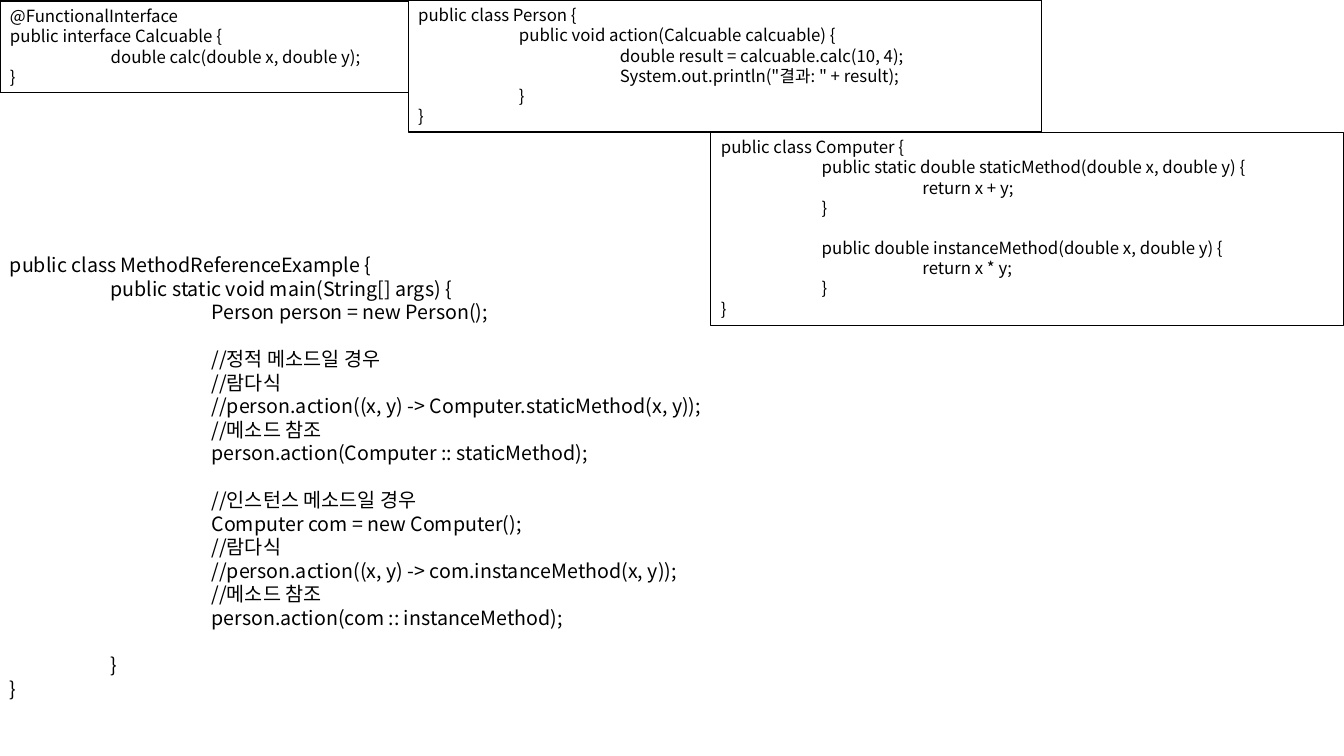
import dataclasses

import pptx
import pptx.dml.color
import pptx.enum.shapes
import pptx.enum.text
import pptx.oxml
import pptx.oxml.ns
import pptx.util

Pt = pptx.util.Pt

SLIDE_WIDTH, SLIDE_HEIGHT = 960, 540
CODE_FONT = "Noto Sans CJK KR"
INK = "000000"
INDENT = 72
LINE_PITCH = 1.2
CLASS_WIDTH = 452.16
PERSON_LEFT, PERSON_HEIGHT = 291.6, 94.32


@dataclasses.dataclass
class Listing:
    left: float
    top: float
    width: float
    height: float
    size: float
    framed: bool
    code: str


# Code: four spaces are one indent level, an empty line is a gap
CALCUABLE = """\
@FunctionalInterface
public interface Calcuable {
    double calc(double x, double y);
}"""

PERSON = """\
public class Person {
    public void action(Calcuable calcuable) {
        double result = calcuable.calc(10, 4);
        System.out.println("결과: " + result);
    }
}"""

COMPUTER = """\
public class Computer {
    public static double staticMethod(double x, double y) {
        return x + y;
    }

    public double instanceMethod(double x, double y) {
        return x * y;
    }
}"""

EXAMPLE = """\
public class MethodReferenceExample {
    public static void main(String[] args) {
        Person person = new Person();

        //정적 메소드일 경우
        //람다식
        //person.action((x, y) -> Computer.staticMethod(x, y));
        //메소드 참조
        person.action(Computer :: staticMethod);

        //인스턴스 메소드일 경우
        Computer com = new Computer();
        //람다식
        //person.action((x, y) -> com.instanceMethod(x, y));
        //메소드 참조
        person.action(com :: instanceMethod);

    }
}"""

LISTINGS = [
    Listing(0, 0.72, PERSON_LEFT, 65.52, 12, True, CALCUABLE),
    Listing(PERSON_LEFT, 0, CLASS_WIDTH, PERSON_HEIGHT, 12, True, PERSON),
    Listing(SLIDE_WIDTH - CLASS_WIDTH, PERSON_HEIGHT, CLASS_WIDTH, 138.24, 12, True, COMPUTER),
    Listing(0, 177.12, 552.96, 363.6, 14, False, EXAMPLE),
]


def color(hex_value: str) -> pptx.dml.color.RGBColor:
    return pptx.dml.color.RGBColor.from_string(hex_value)


def set_attributes(target: object, values: dict) -> None:
    for name, value in values.items():
        setattr(target, name, value)


def write_code(frame: pptx.text.text.TextFrame, code: str, size: float) -> None:
    pitch = size * LINE_PITCH
    line = frame.paragraphs[0]
    gap = 0
    for number, source in enumerate(code.split("\n")):
        if not source:
            gap += pitch
            continue
        if number:
            line = frame.add_paragraph()
        set_attributes(line, {
            "alignment": pptx.enum.text.PP_ALIGN.LEFT,
            "line_spacing": Pt(pitch),
            "space_before": Pt(gap),
        })
        gap = 0
        statement = source.lstrip()
        level = (len(source) - len(statement)) // 4
        line._p.get_or_add_pPr().set("marL", str(Pt(INDENT * level)))

        run = line.add_run()
        run.text = statement
        set_attributes(run.font, {"name": CODE_FONT, "size": Pt(size)})
        run.font.color.rgb = color(INK)
        # Korean text takes the East Asian typeface
        east_asian = pptx.oxml.parse_xml(
            f'<a:ea {pptx.oxml.ns.nsdecls("a")} typeface="{CODE_FONT}"/>')
        run.font._element.append(east_asian)


def draw_listing(slide: pptx.slide.Slide, listing: Listing) -> None:
    bounds = [Pt(length) for length in
              (listing.left, listing.top, listing.width, listing.height)]
    if listing.framed:
        panel = slide.shapes.add_shape(
            pptx.enum.shapes.MSO_SHAPE.RECTANGLE, *bounds)
        panel.shadow.inherit = False
        panel.fill.background()
        panel.line.color.rgb = color(INK)
        panel.line.width = Pt(0.75)
    else:
        panel = slide.shapes.add_textbox(*bounds)
    set_attributes(panel.text_frame, {
        "word_wrap": True,
        "auto_size": pptx.enum.text.MSO_AUTO_SIZE.NONE,
        "vertical_anchor": pptx.enum.text.MSO_ANCHOR.TOP,
    })
    write_code(panel.text_frame, listing.code, listing.size)


def main() -> None:
    deck = pptx.Presentation()
    set_attributes(deck, {"slide_width": Pt(SLIDE_WIDTH), "slide_height": Pt(SLIDE_HEIGHT)})
    slide = deck.slides.add_slide(deck.slide_layouts[6])
    for listing in LISTINGS:
        draw_listing(slide, listing)
    deck.save("out.pptx")


if __name__ == "__main__":
    main()
